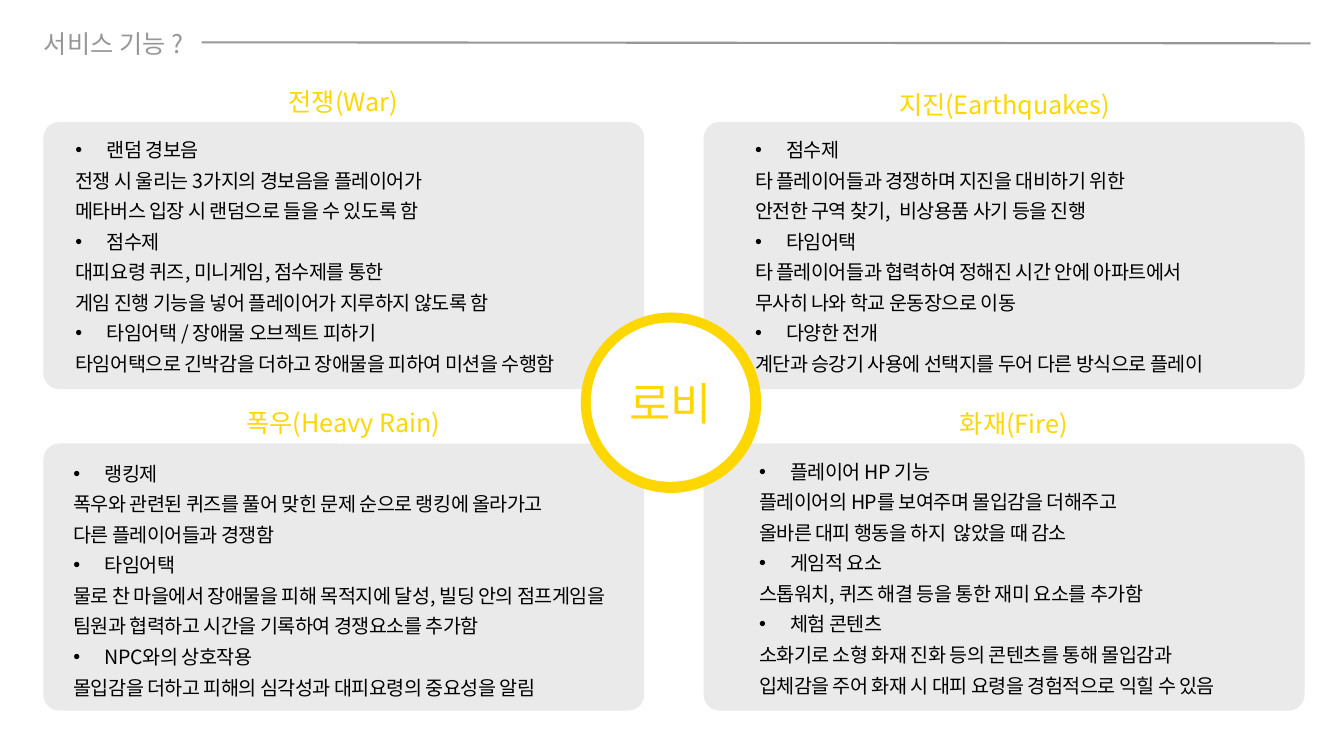
from lxml.etree import SubElement
from pptx import Presentation
from pptx.dml.color import RGBColor
from pptx.enum.shapes import MSO_CONNECTOR, MSO_SHAPE
from pptx.enum.text import MSO_ANCHOR, MSO_AUTO_SIZE, PP_ALIGN
from pptx.oxml.ns import qn
from pptx.util import Inches, Pt

FONT = "Noto Sans CJK KR"
GREY = RGBColor(0x97, 0x97, 0x97)
PANEL = RGBColor(0xEA, 0xEA, 0xEA)
GOLD = RGBColor(0xFF, 0xD7, 0x00)
WHITE = RGBColor(0xFF, 0xFF, 0xFF)
BLACK = RGBColor(0x00, 0x00, 0x00)

# Each disaster: panel corner, heading and its corner, body corner and width,
# and the features with the lines that explain them
DISASTERS = [
    ((0.43, 1.21), "전쟁(War)", (1.99, 0.81), (0.65, 1.25, 5.9), [
        ("랜덤 경보음", ["전쟁 시 울리는 3가지의 경보음을 플레이어가",
                    "메타버스 입장 시 랜덤으로 들을 수 있도록 함"]),
        ("점수제", ["대피요령 퀴즈, 미니게임, 점수제를 통한",
                 "게임 진행 기능을 넣어 플레이어가 지루하지 않도록 함"]),
        ("타임어택 / 장애물 오브젝트 피하기",
         ["타임어택으로 긴박감을 더하고 장애물을 피하여 미션을 수행함"]),
    ]),
    ((6.98, 1.21), "지진(Earthquakes)", (8.55, 0.84), (7.39, 1.25, 5.13), [
        ("점수제", ["타 플레이어들과 경쟁하며 지진을 대비하기 위한",
                 "안전한 구역 찾기,  비상용품 사기 등을 진행"]),
        ("타임어택", ["타 플레이어들과 협력하여 정해진 시간 안에 아파트에서",
                  "무사히 나와 학교 운동장으로 이동"]),
        ("다양한 전개", ["계단과 승강기 사용에 선택지를 두어 다른 방식으로 플레이"]),
    ]),
    ((0.43, 4.4), "폭우(Heavy Rain)", (1.99, 3.99), (0.63, 4.46, 5.9), [
        ("랭킹제", ["폭우와 관련된 퀴즈를 풀어 맞힌 문제 순으로 랭킹에 올라가고",
                 "다른 플레이어들과 경쟁함"]),
        ("타임어택", ["물로 찬 마을에서 장애물을 피해 목적지에 달성, 빌딩 안의 점프게임을 "
                  "팀원과 협력하고 시간을 기록하여 경쟁요소를 추가함"]),
        ("NPC와의 상호작용", ["몰입감을 더하고 피해의 심각성과 대피요령의 중요성을 알림"]),
    ]),
    ((6.98, 4.4), "화재(Fire)", (8.64, 4), (7.43, 4.44, 5.9), [
        ("플레이어 HP 기능", ["플레이어의 HP를 보여주며 몰입감을 더해주고",
                        "올바른 대피 행동을 하지  않았을 때 감소"]),
        ("게임적 요소", ["스톱워치, 퀴즈 해결 등을 통한 재미 요소를 추가함"]),
        ("체험 콘텐츠", ["소화기로 소형 화재 진화 등의 콘텐츠를 통해 몰입감과",
                    "입체감을 주어 화재 시 대피 요령을 경험적으로 익힐 수 있음"]),
    ]),
]


def format_spans(para, size, color, spacing=None):
    for span in para.runs:
        span.font.size = Pt(size)
        span.font.color.rgb = color
        span.font.name = FONT
        properties = span.font._element
        SubElement(properties, qn("a:ea")).set("typeface", FONT)
        if spacing is not None:
            properties.set("spc", str(spacing))


def set_label(shape, text, size, color, anchor=MSO_ANCHOR.TOP):
    frame = shape.text_frame
    frame.text = text
    frame.vertical_anchor = anchor
    para = frame.paragraphs[0]
    para.alignment = PP_ALIGN.CENTER
    format_spans(para, size, color)


def add_title(slide):
    title = slide.shapes.title
    title.left, title.top = Inches(0.33), Inches(0.23)
    title.width, title.height = Inches(1.59), Inches(0.4)
    set_label(title, "서비스 기능 ?", 18, GREY)
    title.text_frame.word_wrap = False
    title.text_frame.auto_size = MSO_AUTO_SIZE.SHAPE_TO_FIT_TEXT
    title.text_frame.paragraphs[0].line_spacing = 1.0


def add_rule(slide):
    rule = slide.shapes.add_connector(
        MSO_CONNECTOR.STRAIGHT, Inches(2), Inches(0.42), Inches(13), Inches(0.43))
    rule.line.color.rgb = GREY
    rule.line.width = Pt(1.5)
    SubElement(rule._element.spPr, qn("a:effectLst"))


def add_filled(slide, kind, left, top, width, height, color):
    shape = slide.shapes.add_shape(
        kind, Inches(left), Inches(top), Inches(width), Inches(height))
    shape.shadow.inherit = False
    shape.fill.solid()
    shape.fill.fore_color.rgb = color
    shape.line.fill.background()
    return shape


def add_panel(slide, left, top):
    panel = add_filled(slide, MSO_SHAPE.ROUNDED_RECTANGLE, left, top, 5.96, 2.65, PANEL)
    panel.adjustments[0] = 0.06


def add_text_box(slide, left, top, width, height):
    box = slide.shapes.add_textbox(
        Inches(left), Inches(top), Inches(width), Inches(height))
    box.text_frame.word_wrap = True
    box.text_frame.auto_size = MSO_AUTO_SIZE.SHAPE_TO_FIT_TEXT
    return box


def add_bullet(para):
    properties = para._p.get_or_add_pPr()
    properties.set("marL", str(Inches(0.31)))
    properties.set("indent", str(Inches(-0.31)))
    SubElement(properties, qn("a:buFont")).set("typeface", "Arial")
    SubElement(properties, qn("a:buChar")).set("char", "•")


def add_features(slide, left, top, width, features):
    frame = add_text_box(slide, left, top, width, 2.53).text_frame
    lines = []
    for name, details in features:
        lines.append((name, True))
        lines.extend((detail, False) for detail in details)
    frame.text = "\n".join(text for text, _ in lines)
    for para, (_, bulleted) in zip(frame.paragraphs, lines):
        para.line_spacing = 1.3
        if bulleted:
            add_bullet(para)
        format_spans(para, 14, BLACK, spacing=-40)


def add_lobby(slide):
    add_filled(slide, MSO_SHAPE.OVAL, 5.76, 3.1, 1.79, 1.79, GOLD)
    centre = add_filled(slide, MSO_SHAPE.OVAL, 5.86, 3.2, 1.58, 1.58, WHITE)
    set_label(centre, "로비", 32, GOLD, MSO_ANCHOR.MIDDLE)


def main():
    deck = Presentation()
    deck.slide_width, deck.slide_height = Inches(13.33), Inches(7.5)
    slide = deck.slides.add_slide(deck.slide_layouts.get_by_name("Title Only"))

    # Header
    add_title(slide)
    add_rule(slide)

    # Panels behind the lobby circle
    for corner, *_ in DISASTERS:
        add_panel(slide, *corner)
    add_lobby(slide)

    # Headings and features in front of it
    for _, heading, corner, body, features in DISASTERS:
        set_label(add_text_box(slide, *corner, 2.83, 0.4), heading, 18, GOLD)
        add_features(slide, *body, features)

    deck.save("out.pptx")


if __name__ == "__main__":
    main()
